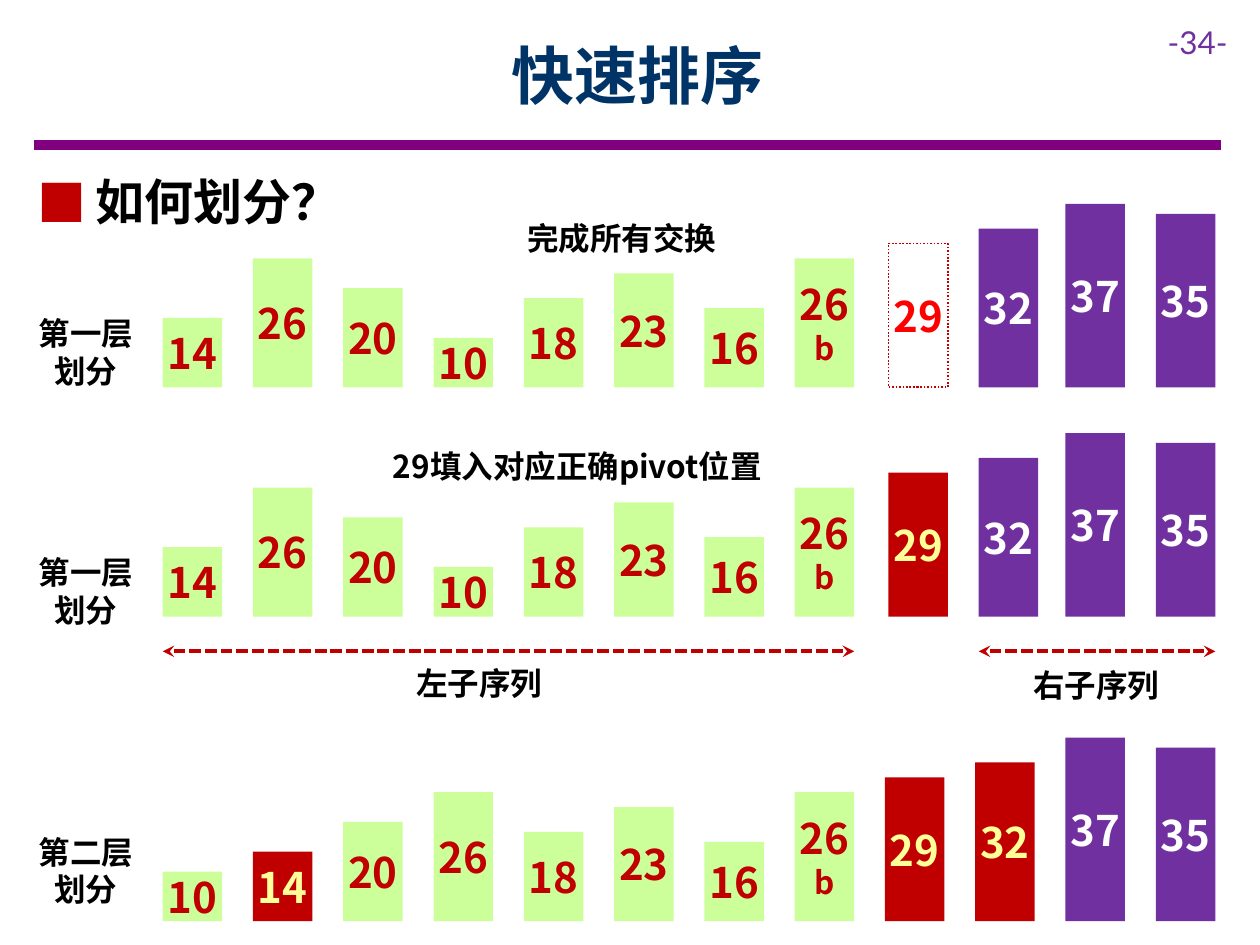
from pptx import Presentation, util as u
from pptx.dml.color import RGBColor
from pptx.enum import shapes, text, dml
from lxml import etree

FONT = "Noto Sans CJK SC"
NS = "{http://schemas.openxmlformats.org/drawingml/2006/main}"
FIRST = ["14", "26", "20", "10", "18", "23", "16", "26b", "29", "32", "37", "35"]
NEXT = ["10", "14", "20", "26", "18", "23", "16", "26b", "29", "32", "37", "35"]
ROWS = [
    (7.81, FIRST, "LLLLLLLLOHHH", 0.07, "第一层", 6.2),
    (12.43, FIRST, "LLLLLLLLPHHH", 0.07, "第一层", 11.02),
    (18.57, NEXT, "LPLLLLLLPPHH", 0, "第二层", 16.66),
]
STYLES = {
    "L": ("CCFF99", "C00000"),
    "H": ("7030A0", "FFFFFF"),
    "P": ("C00000", "FFFF99"),
    "O": (None, "FF0000"),
}
NOTES = [
    ("完成所有交换", 8.89, 4.29, 7.29),
    ("29填入对应正确pivot位置", 7.26, 8.89, 8.76),
    ("左子序列", 8.13, 13.26, 3.07),
    ("右子序列", 20.57, 13.31, 3.07),
]
LEFT, STEP, WIDE = 3.28, 1.82, 1.2
SPANS = [(0, 7, 0), (9, 11, 0.07)]

deck = Presentation()
deck.slide_width, deck.slide_height = u.Cm(25.4), u.Cm(19.05)
page = deck.slides.add_slide(deck.slide_layouts[6]).shapes


def paint(hue):
    return RGBColor.from_string(hue)


def write(frame, lines, hue, align="CENTER", font=FONT, bold=True):
    for i, (words, size) in enumerate(lines):
        para = frame.paragraphs[0] if i == 0 else frame.add_paragraph()
        para.alignment = getattr(text.PP_ALIGN, align)
        para.line_spacing = u.Pt(size * 1.2)
        run = para.add_run()
        run.text = words
        run.font.size, run.font.bold, run.font.name = u.Pt(size), bold, font
        run.font.color.rgb = paint(hue)
        etree.SubElement(run.font._element, NS + "ea", typeface=font)


def label(lines, x, y, w, h, hue="000000", wrap=True, **style):
    frame = page.add_textbox(u.Cm(x), u.Cm(y), u.Cm(w), u.Cm(h)).text_frame
    frame.word_wrap = wrap
    write(frame, lines, hue, **style)
    return frame


def rule(x, y, end, hue, width):
    line = page.add_connector(shapes.MSO_CONNECTOR.STRAIGHT,
                              u.Cm(x), u.Cm(y), u.Cm(end), u.Cm(y))
    line.line.color.rgb, line.line.width = paint(hue), u.Pt(width)
    etree.SubElement(line._element.spPr, NS + "effectLst")
    return line.line


def bar(name, kind, x, base):
    value = name[:2]
    high = int(value) / 10
    box = page.add_shape(shapes.MSO_SHAPE.RECTANGLE, u.Cm(x), u.Cm(base - high),
                         u.Cm(WIDE), u.Cm(high))
    box.shadow.inherit = False
    fill, ink = STYLES[kind]
    if fill:
        box.fill.solid()
        box.fill.fore_color.rgb = paint(fill)
        box.line.fill.background()
    else:
        box.fill.background()
        box.line.color.rgb, box.line.width = paint("C00000"), u.Pt(1)
        box.line.dash_style = dml.MSO_LINE.ROUND_DOT
    frame = box.text_frame
    frame.word_wrap = True
    frame.margin_left = frame.margin_right = 0
    frame.margin_top = frame.margin_bottom = u.Cm(0.25)
    frame.vertical_anchor = text.MSO_ANCHOR.MIDDLE
    write(frame, [(value, 24)] + [(mark, 18) for mark in name[2:]], ink)


rule(0.69, 2.92, 24.61, "800080", 6)
label([("-34-", 18)], 23.29, 0.33, 2.11, 1.02, "7030A0",
      align="LEFT", font="Lato", bold=False)
title = label([("快速排序", 36)], 2.29, 0.23, 21.11, 2.54, "003366")
title.vertical_anchor = text.MSO_ANCHOR.MIDDLE

topic = label([("如何划分？", 28)], 0.51, 3.33, 24.23, 1.45, align="LEFT")
props = topic.paragraphs[0]._p.get_or_add_pPr()
props.set("marL", str(u.Cm(1.17)))
props.set("indent", str(u.Cm(-1.17)))
tint = etree.SubElement(props, NS + "buClr")
etree.SubElement(tint, NS + "srgbClr", val="C00000")
etree.SubElement(props, NS + "buFont", typeface=FONT)
etree.SubElement(props, NS + "buChar", char="■")

for base, names, kinds, nudge, level, top in ROWS:
    for i, (name, kind) in enumerate(zip(names, kinds)):
        shift = nudge if i in (8, 9) else 0
        bar(name, kind, LEFT + i * STEP + shift, base)
    label([(level, 18), ("划分", 18)], 0.51, top, 2.44, 1.8, wrap=False)

for start, end, shift in SPANS:
    line = rule(LEFT + start * STEP + shift, 13.13, LEFT + end * STEP + WIDE,
                "C00000", 2.25)
    line.dash_style = dml.MSO_LINE.SQUARE_DOT
    edge = line._get_or_add_ln()
    edge.find(NS + "prstDash").set("val", "sysDash")
    for tip in ("headEnd", "tailEnd"):
        etree.SubElement(edge, NS + tip, type="stealth")

for words, x, y, w in NOTES:
    label([(words, 18)], x, y, w, 1.02, wrap=w > 4)

deck.save("out.pptx")
